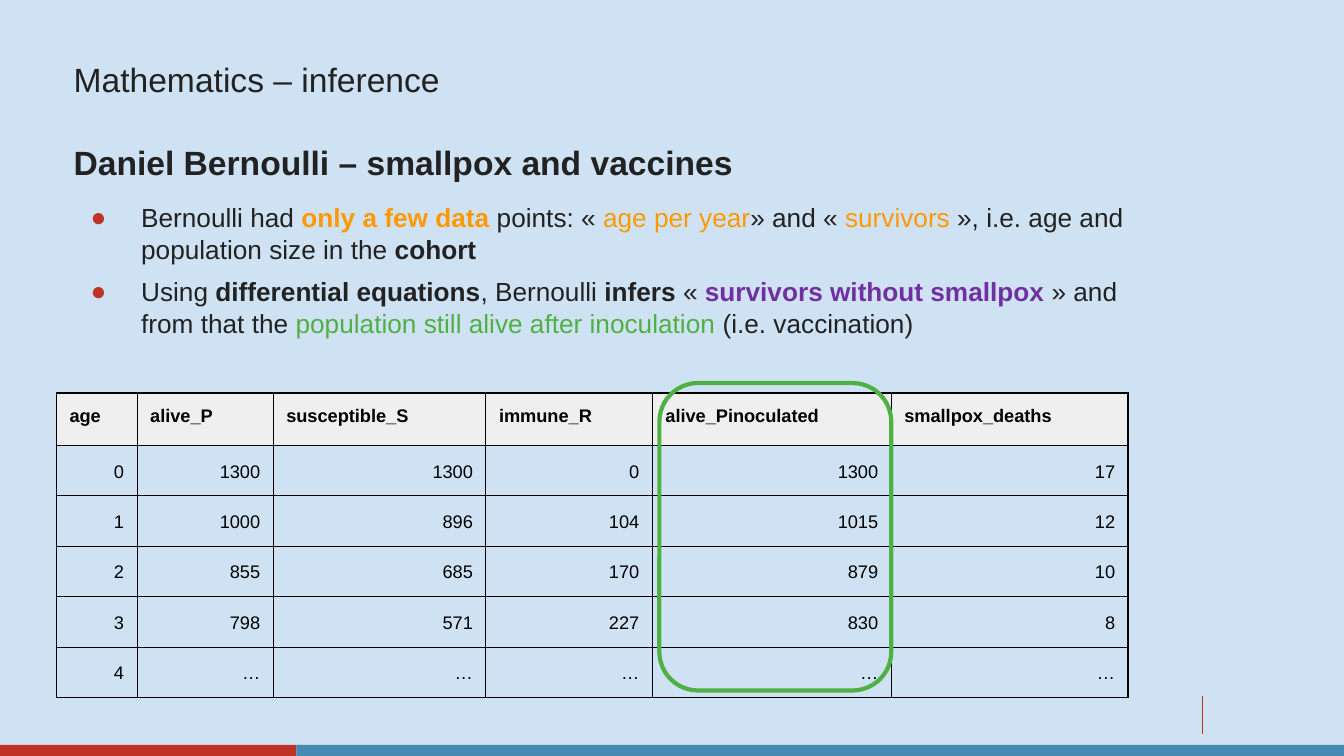
import pptx
import pptx.util
import pptx.dml.color
import pptx.enum.shapes
import pptx.enum.text
import pptx.oxml
import pptx.oxml.ns

PX = 9144  # EMU per px, 100 px to the inch
INK, RED, BLUE, GREEN = "222222", "BF3227", "468AB2", "4FB043"
ORANGE, PURPLE, BLACK = "FF9900", "7030A0", "000000"
ALIGN = pptx.enum.text.PP_ALIGN
ANCHOR = pptx.enum.text.MSO_ANCHOR
SHAPE = pptx.enum.shapes.MSO_SHAPE


def px(*lengths):
    return [round(length * PX) for length in lengths]


def rgb(code):
    return pptx.dml.color.RGBColor.from_string(code)


def element(xml):
    return pptx.oxml.parse_xml(xml.replace(" ", f' {pptx.oxml.ns.nsdecls("a")} ', 1))


class SlideBuilder:
    font = "Arial"

    def __init__(self, deck, background):
        self.slide = deck.slides.add_slide(deck.slide_layouts[5])
        self.slide.background.fill.solid()
        self.slide.background.fill.fore_color.rgb = rgb(background)

    def runs(self, paragraph, parts, size):
        """Each part is (text, colour, bold)."""
        for text, colour, bold in parts:
            run = paragraph.add_run()
            run.text = text
            run.font.name = self.font
            run.font.size = pptx.util.Pt(size)
            run.font.bold = bold
            run.font.color.rgb = rgb(colour)

    def frame(self, shape, anchor=ANCHOR.TOP):
        frame = shape.text_frame
        frame.word_wrap = True
        frame.auto_size = pptx.enum.text.MSO_AUTO_SIZE.NONE
        frame.vertical_anchor = anchor
        (frame.margin_left, frame.margin_top,
         frame.margin_right, frame.margin_bottom) = px(0, 7, 13, 7)
        return frame

    def title(self, box, text, size):
        title = self.slide.shapes.title
        title.left, title.top, title.width, title.height = px(*box)
        paragraph = self.frame(title, ANCHOR.MIDDLE).paragraphs[0]
        paragraph.alignment = ALIGN.JUSTIFY
        paragraph.line_spacing = 0.9
        self.runs(paragraph, [(text, INK, False)], size)

    def text(self, box, paragraphs, size, bullet=None):
        frame = self.frame(self.slide.shapes.add_textbox(*px(*box)))
        for index, parts in enumerate(paragraphs):
            paragraph = frame.add_paragraph() if index else frame.paragraphs[0]
            if index:
                paragraph.space_before = pptx.util.Pt(8)
            if bullet:
                self.bullet(paragraph, bullet)
            self.runs(paragraph, parts, size)

    def bullet(self, paragraph, colour):
        properties = paragraph._p.get_or_add_pPr()
        margin, indent = px(67, -50)
        properties.set("marL", str(margin))
        properties.set("indent", str(indent))
        for xml in (f'<a:buClr ><a:srgbClr val="{colour}"/></a:buClr>',
                    f'<a:buFont typeface="{self.font}"/>',
                    '<a:buChar char="●"/>'):
            properties.append(element(xml))

    def shape(self, kind, box, fill=None, line=None, weight=1):
        shape = self.slide.shapes.add_shape(kind, *px(*box))
        shape.shadow.inherit = False
        if fill:
            shape.fill.solid()
            shape.fill.fore_color.rgb = rgb(fill)
        else:
            shape.fill.background()
        if line:
            shape.line.color.rgb = rgb(line)
            shape.line.width = pptx.util.Pt(weight)
        else:
            shape.line.fill.background()

    def line(self, start, end, colour, weight):
        straight = pptx.enum.shapes.MSO_CONNECTOR.STRAIGHT
        line = self.slide.shapes.add_connector(straight, *px(*start, *end))
        line.line.color.rgb = rgb(colour)
        line.line.width = pptx.util.Pt(weight)
        line._element.spPr.append(element("<a:effectLst />"))

    def table(self, left, top, columns, heights, rows, size, header_fill):
        box = px(left, top, sum(columns), sum(heights))
        table = self.slide.shapes.add_table(len(rows), len(columns), *box).table
        table.first_row = table.horz_banding = False
        for column, width in zip(table.columns, px(*columns)):
            column.width = width
        for row, height in zip(table.rows, px(*heights)):
            row.height = height
        for r, values in enumerate(rows):
            for c, value in enumerate(values):
                cell = table.cell(r, c)
                self.borders(cell, {"L": c == 0, "R": c == len(columns) - 1,
                                    "T": r == 0, "B": r == len(rows) - 1})
                (cell.margin_left, cell.margin_top,
                 cell.margin_right, cell.margin_bottom) = px(13, 13, 13, 13)
                paragraph = cell.text_frame.paragraphs[0]
                if r == 0:
                    cell.fill.solid()
                    cell.fill.fore_color.rgb = rgb(header_fill)
                else:
                    cell.fill.background()
                    paragraph.alignment = ALIGN.RIGHT
                    paragraph.line_spacing = 1.15
                self.runs(paragraph, [(value, BLACK, r == 0)], size)

    def borders(self, cell, edges):
        """Outer edges are twice as heavy as the inner grid."""
        properties = cell._tc.get_or_add_tcPr()
        for side, outer in edges.items():
            width = pptx.util.Pt(1.5 if outer else 0.75)
            properties.append(element(
                f'<a:ln{side} w="{width}"><a:solidFill><a:srgbClr val="{BLACK}"/>'
                f'</a:solidFill></a:ln{side}>'))


def main():
    deck = pptx.Presentation()
    deck.slide_width, deck.slide_height = px(1333, 750)
    page = SlideBuilder(deck, "CFE2F3")

    # Footer
    page.line((1193, 690), (1193, 728), RED, 0.56)
    page.shape(SHAPE.RECTANGLE, (0, 739, 294, 11), fill=RED)
    page.shape(SHAPE.RECTANGLE, (294, 739, 1039, 11), fill=BLUE)

    # Headings
    page.title((73, 40, 1187, 81), "Mathematics – inference", 24)
    page.text((73, 134, 1187, 47),
              [[("Daniel Bernoulli – smallpox and vaccines", INK, True)]], 24)

    # Life table with the inoculated column ringed
    life_table = [
        ("age", "alive_P", "susceptible_S", "immune_R", "alive_Pinoculated",
         "smallpox_deaths"),
        ("0", "1300", "1300", "0", "1300", "17"),
        ("1", "1000", "896", "104", "1015", "12"),
        ("2", "855", "685", "170", "879", "10"),
        ("3", "798", "571", "227", "830", "8"),
        ("4",) + ("…",) * 5,
    ]
    page.table(56, 390, (80, 135, 211, 165, 237, 235), (52,) + (50,) * 5,
               life_table, 13, "EFEFEF")
    page.shape(SHAPE.ROUNDED_RECTANGLE, (654, 380, 230, 305), line=GREEN, weight=3)

    # Explanation
    known_data = [
        ("Bernoulli had ", INK, False), ("only a few data ", ORANGE, True),
        ("points: « ", INK, False), ("age per year", ORANGE, False),
        ("» and « ", INK, False), ("survivors", ORANGE, False),
        (" », i.e. age and population size in the ", INK, False),
        ("cohort", INK, True),
    ]
    inferred_data = [
        ("Using ", INK, False), ("differential equations", INK, True),
        (", Bernoulli ", INK, False), ("infers", INK, True),
        (" « ", INK, False), ("survivors without smallpox", PURPLE, True),
        (" » and from that the ", INK, False),
        ("population still alive after inoculation", GREEN, False),
        (" (i.e. vaccination)", INK, False),
    ]
    page.text((73, 193, 1055, 171), [known_data, inferred_data], 18.7, bullet=RED)

    deck.save("out.pptx")


if __name__ == "__main__":
    main()
